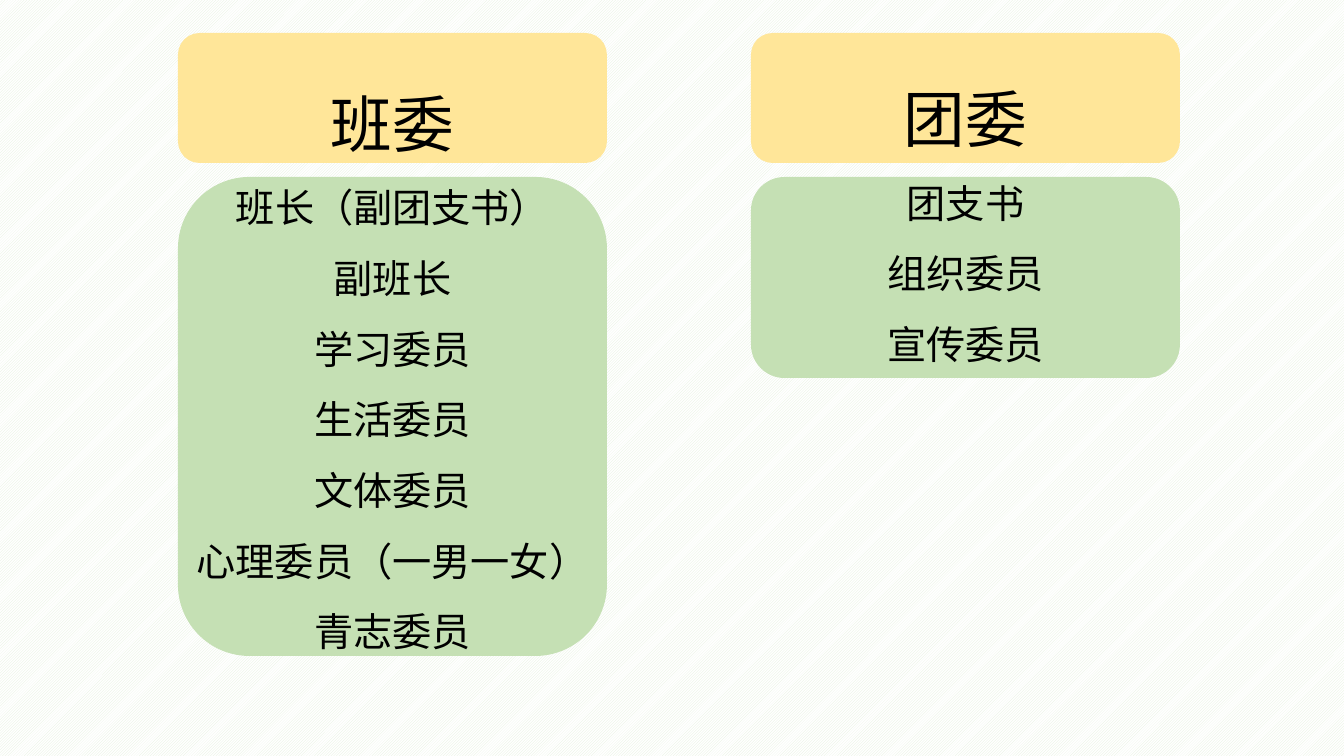
from lxml import etree
from pptx import Presentation
from pptx import util as u
from pptx.dml.color import RGBColor
from pptx.enum import dml, shapes, text
from pptx.oxml import ns

# heading, roles, card left, card height, text box (top, width, height) in px
COMMITTEES = [
    ("团委", ["团支书", "组织委员", "宣传委员"], 751, 201, (17, 199, 378)),
    ("班委", ["班长（副团支书）", "副班长", "学习委员", "生活委员", "文体委员",
            "心理委员（一男一女）", "青志委员"], 178, 479, (178, 429, 348)),
]
CARD_WIDTH = 429
HEADING_TOP, HEADING_HEIGHT = 33, 130
ROLES_TOP = 177

FONT = "Noto Sans CJK SC"
HEADING_SIZE, HEADING_LINE = 44, 79
ROLE_SIZE, ROLE_LINE = 28, 50.5

GREEN = RGBColor(0xC5, 0xE0, 0xB4)
YELLOW = RGBColor(0xFF, 0xE6, 0x99)
BLACK = RGBColor(0x00, 0x00, 0x00)
STRIPE = RGBColor(0xE2, 0xF0, 0xD9)
WHITE = RGBColor(0xFF, 0xFF, 0xFF)


def px(length):
    return u.Emu(round(length * 914400 / 100.8))


def add_card(slide, left, top, height, color):
    card = slide.shapes.add_shape(
        shapes.MSO_SHAPE.ROUNDED_RECTANGLE,
        px(left), px(top), px(CARD_WIDTH), px(height))
    card.shadow.inherit = False
    card.fill.solid()
    card.fill.fore_color.rgb = color
    card.line.fill.background()


def format_line(paragraph, size, line_height):
    paragraph.alignment = text.PP_ALIGN.CENTER
    paragraph.line_spacing = u.Pt(line_height)
    paragraph.font.size = u.Pt(size)
    paragraph.font.color.rgb = BLACK
    paragraph.font.name = FONT
    properties = paragraph._p.get_or_add_pPr().find(ns.qn("a:defRPr"))
    etree.SubElement(properties, ns.qn("a:ea"), typeface=FONT)


def add_list(slide, heading, roles, card_left, box):
    """Write the heading and roles in one box centred on its card."""
    top, width, height = box
    left = card_left + (CARD_WIDTH - width) / 2
    frame = slide.shapes.add_textbox(
        px(left), px(top), px(width), px(height)).text_frame
    frame.word_wrap = False
    frame.vertical_anchor = text.MSO_ANCHOR.MIDDLE
    frame.text = "\n".join([heading, *roles])
    format_line(frame.paragraphs[0], HEADING_SIZE, HEADING_LINE)
    for paragraph in frame.paragraphs[1:]:
        format_line(paragraph, ROLE_SIZE, ROLE_LINE)


def main():
    presentation = Presentation()
    presentation.slide_width = px(1344)
    presentation.slide_height = px(756)
    slide = presentation.slides.add_slide(presentation.slide_layouts[6])

    background = slide.background.fill
    background.patterned()
    background.pattern = dml.MSO_PATTERN.DARK_UPWARD_DIAGONAL
    background.fore_color.rgb = STRIPE
    background.back_color.rgb = WHITE

    for _, _, left, height, _ in COMMITTEES:
        add_card(slide, left, ROLES_TOP, height, GREEN)
    for _, _, left, _, _ in COMMITTEES:
        add_card(slide, left, HEADING_TOP, HEADING_HEIGHT, YELLOW)
    for heading, roles, left, _, box in COMMITTEES:
        add_list(slide, heading, roles, left, box)

    presentation.save("out.pptx")


if __name__ == "__main__":
    main()
